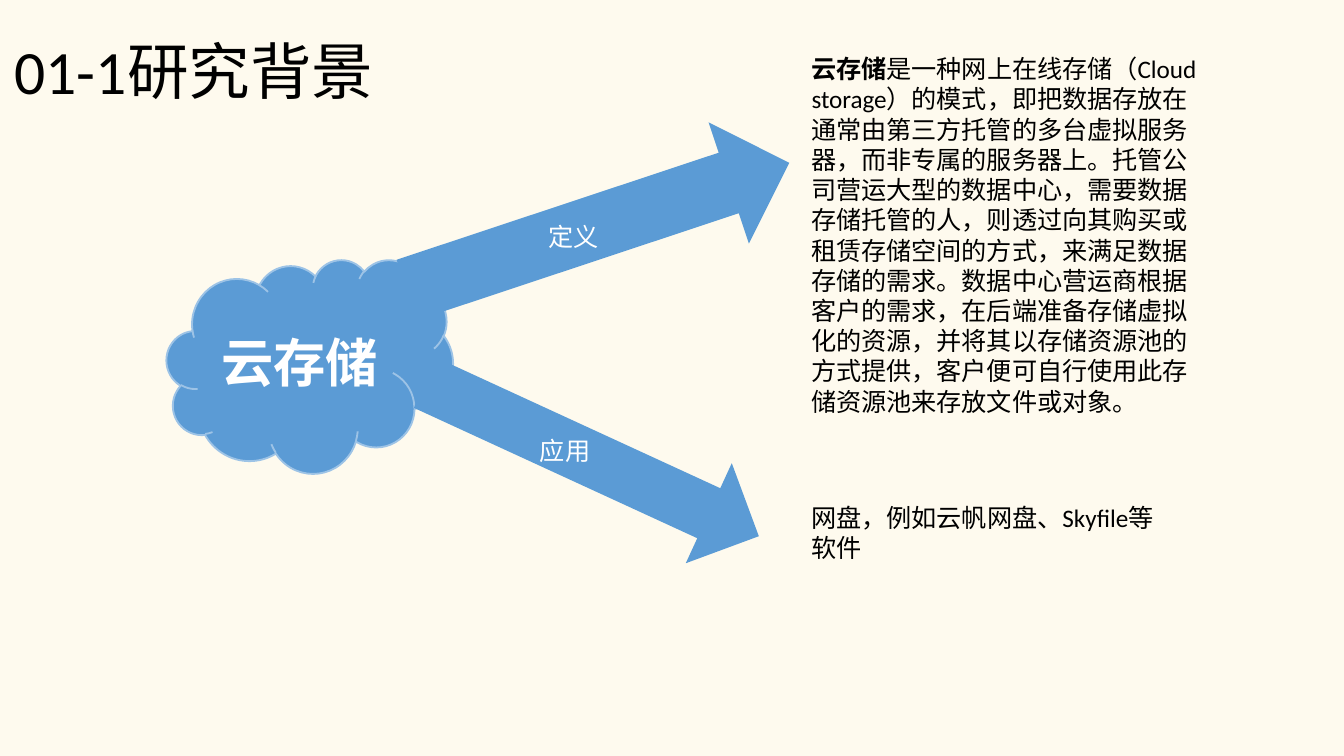
from pptx import Presentation
from pptx.dml.color import RGBColor
from pptx.enum.shapes import MSO_SHAPE as Preset
from pptx.enum.text import MSO_ANCHOR as Anchor, PP_ALIGN as Align
from pptx.util import Pt

CREAM = RGBColor(0xFE, 0xFA, 0xEE)
BLUE = RGBColor(0x5B, 0x9B, 0xD5)
LIGHT_BLUE = RGBColor(0x9D, 0xC3, 0xE6)
BLACK = RGBColor(0, 0, 0)
WHITE = RGBColor(0xFF, 0xFF, 0xFF)

TITLE = "01-1研究背景"
TOPIC = "云存储"
DEFINITION = (
    "是一种网上在线存储（Cloud storage）的模式，即把数据存放在通常由第三方托管的多台虚拟服务器，"
    "而非专属的服务器上。托管公司营运大型的数据中心，需要数据存储托管的人，则透过向其购买或租赁存储空间的方式，"
    "来满足数据存储的需求。数据中心营运商根据客户的需求，在后端准备存储虚拟化的资源，"
    "并将其以存储资源池的方式提供，客户便可自行使用此存储资源池来存放文件或对象。"
)
APPLICATION = "网盘，例如云帆网盘、Skyfile等软件"

# Boxes are left, top, width, height in points.
TITLE_BOX = (0.7, 0.7, 620.6, 78.5)
CLOUD_BOX = (89.3, 139, 153.4, 114.5)
BRANCHES = [
    {"arrow": (212.4, 87.1, 216, 68.4), "rotation": 341.6,
     "label": "定义", "label_box": (286.6, 115.2, 49, 23.8),
     "runs": [(TOPIC, True), (DEFINITION, False)],
     "text_box": (427.7, 25.2, 227.5, 203.8)},
    {"arrow": (218.9, 216.7, 196.6, 59), "rotation": 24.7,
     "label": "应用", "label_box": (282.2, 229.7, 49, 23.8),
     "runs": [(APPLICATION, False)],
     "text_box": (427.7, 265.7, 209.5, 40.3)},
]


def write(shape, *runs, size=13.5, color=BLACK, align=Align.LEFT,
          anchor=Anchor.TOP, spacing=None):
    """Fill a shape with one paragraph of (text, bold) runs."""
    frame = shape.text_frame
    frame.word_wrap = True
    frame.vertical_anchor = anchor
    paragraph = frame.paragraphs[0]
    paragraph.alignment = align
    paragraph.line_spacing = spacing
    for text, bold in runs:
        run = paragraph.add_run()
        run.text = text
        run.font.name = "Calibri"
        run.font.size = Pt(size)
        run.font.bold = bold
        run.font.color.rgb = color


def add_text(slide, box, *runs, **style):
    write(slide.shapes.add_textbox(*map(Pt, box)), *runs, **style)


def add_blue_shape(slide, preset, box, rotation=0, outline=None):
    shape = slide.shapes.add_shape(preset, *map(Pt, box))
    shape.rotation = rotation
    shape.shadow.inherit = False
    shape.fill.solid()
    shape.fill.fore_color.rgb = BLUE
    if outline is None:
        shape.line.fill.background()
    else:
        shape.line.color.rgb = outline
        shape.line.width = Pt(1)
    return shape


def main():
    presentation = Presentation()
    presentation.slide_width, presentation.slide_height = Pt(720), Pt(405)
    slide = presentation.slides.add_slide(presentation.slide_layouts[6])
    slide.background.fill.solid()
    slide.background.fill.fore_color.rgb = CREAM

    add_text(slide, TITLE_BOX, (TITLE, False), size=33,
             anchor=Anchor.MIDDLE, spacing=0.9)
    cloud = add_blue_shape(slide, Preset.CLOUD, CLOUD_BOX, outline=LIGHT_BLUE)
    write(cloud, (TOPIC, True), size=28, color=WHITE,
          align=Align.CENTER, anchor=Anchor.MIDDLE)

    for branch in BRANCHES:
        add_blue_shape(slide, Preset.RIGHT_ARROW, branch["arrow"], branch["rotation"])
        add_text(slide, branch["label_box"], (branch["label"], False), color=WHITE)
        add_text(slide, branch["text_box"], *branch["runs"])

    presentation.save("out.pptx")


if __name__ == "__main__":
    main()
